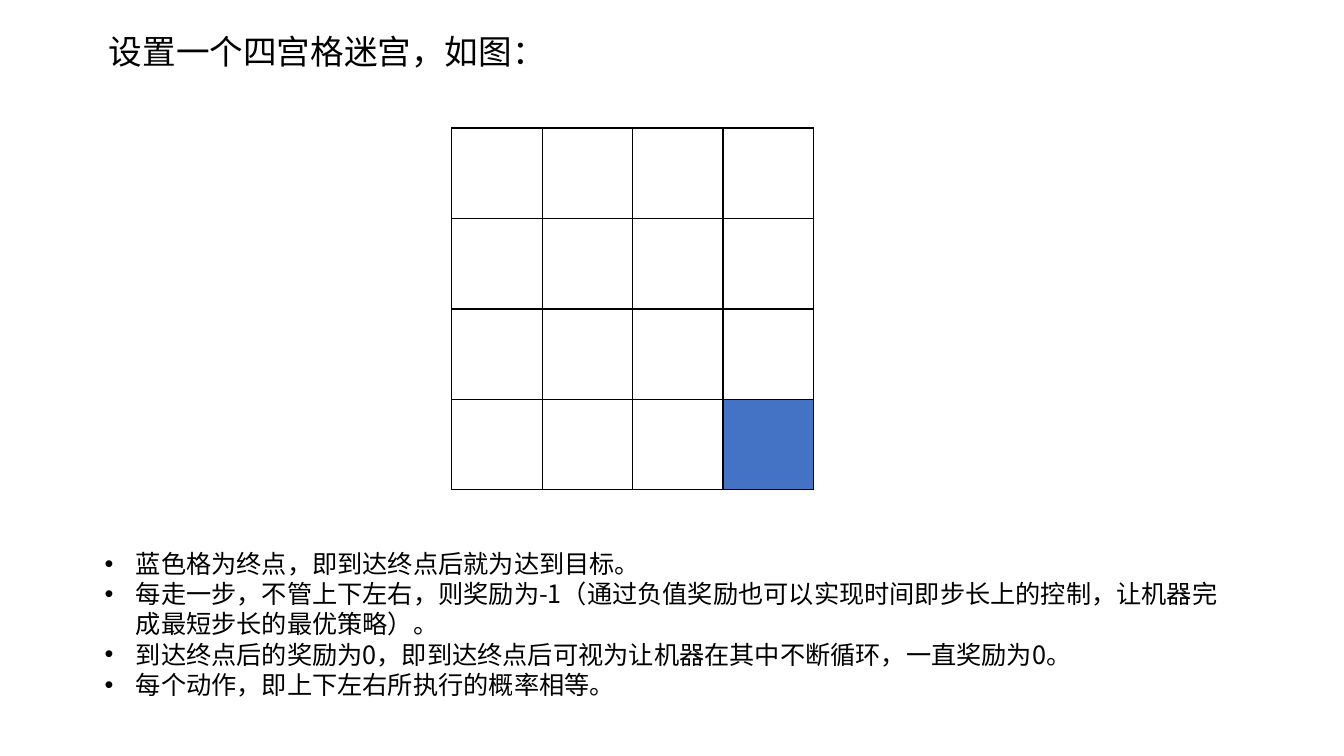
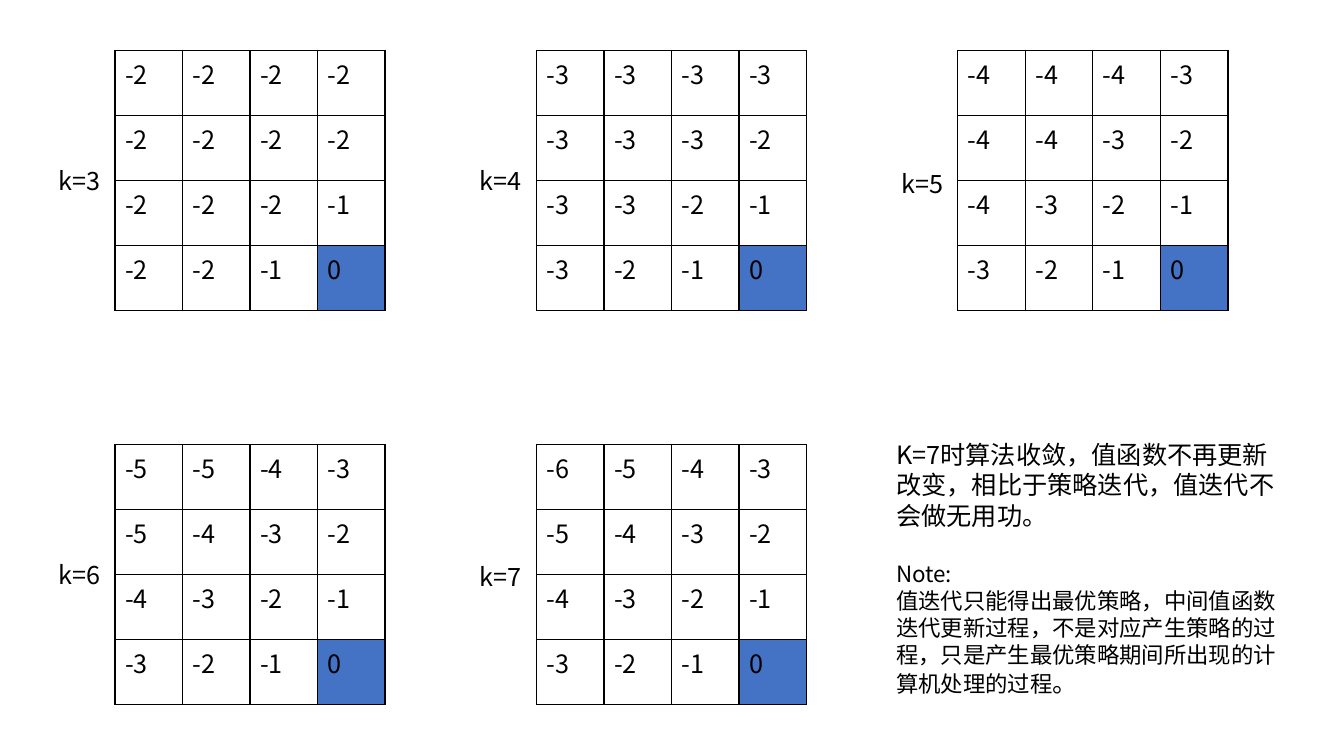
from dataclasses import dataclass

from lxml.etree import SubElement
from pptx import Presentation
from pptx.dml.color import RGBColor
from pptx.enum.text import MSO_ANCHOR, MSO_AUTO_SIZE, PP_ALIGN
from pptx.oxml.ns import qn
from pptx.presentation import Presentation as Deck
from pptx.slide import Slide
from pptx.text.text import Font, TextFrame
from pptx.util import Inches, Pt

FONT = "Noto Sans CJK SC"
BLACK, WHITE, BLUE = "000000", "FFFFFF", "4472C4"
TITLE_ONLY, BLANK = 5, 6
GRID_SIZE = 4
GRID_LEFT, GRID_TOP = 1.14, 0.5
GRID_STEP_X, GRID_STEP_Y = 4.18, 3.91
RULES = (
    "蓝色格为终点，即到达终点后就为达到目标。",
    "每走一步，不管上下左右，则奖励为-1（通过负值奖励也可以实现时间即步长上的控制，让机器完成最短步长的最优策略）。",
    "到达终点后的奖励为0，即到达终点后可视为让机器在其中不断循环，一直奖励为0。",
    "每个动作，即上下左右所执行的概率相等。",
)


@dataclass(frozen=True)
class Line:
    """A paragraph with its size, space before and optional larger ending."""

    text: str
    size: float = 18
    space_before: float = 0
    bullet: bool = False
    ending: str = ""


@dataclass(frozen=True)
class Iteration:
    """One value-iteration grid and the drop of its label below the grid top."""

    k: int
    column: int
    row: int
    label_drop: float = 1.09


ITERATIONS = (
    Iteration(3, 0, 0),
    Iteration(4, 1, 0),
    Iteration(5, 2, 0, 1.12),
    Iteration(6, 0, 1),
    Iteration(7, 1, 1, 1.11),
)


def color(value: str) -> RGBColor:
    """Turn a hex string into a colour."""
    return RGBColor.from_string(value)


def style_font(font: Font, size: float) -> None:
    """Apply the shared typeface and colour at the given size."""
    font.size = Pt(size)
    font.name = FONT
    font.color.rgb = color(BLACK)
    SubElement(font._rPr, qn("a:ea"), typeface=FONT)


def write_lines(frame: TextFrame, lines: list[Line]) -> None:
    """Fill a text frame with styled paragraphs."""
    for index, line in enumerate(lines):
        paragraph = frame.add_paragraph() if index else frame.paragraphs[0]
        paragraph.alignment = PP_ALIGN.LEFT
        paragraph.space_before = Pt(line.space_before)
        if line.bullet:
            properties = paragraph._p.get_or_add_pPr()
            properties.set("marL", str(Inches(0.31)))
            properties.set("indent", str(-Inches(0.31)))
            SubElement(properties, qn("a:buFont"), typeface="Arial")
            SubElement(properties, qn("a:buChar"), char="•")
        style_font(paragraph.font, line.size)
        paragraph.add_run().text = line.text
        if line.ending:
            run = paragraph.add_run()
            run.text = line.ending
            style_font(run.font, 18)


def add_text(slide: Slide, left: float, top: float, width: float, height: float, lines: list[Line]) -> None:
    """Add a wrapping text box."""
    box = slide.shapes.add_textbox(Inches(left), Inches(top), Inches(width), Inches(height))
    box.text_frame.word_wrap = True
    write_lines(box.text_frame, lines)


def add_maze(slide: Slide, left: float, top: float, width: float, height: float, limit: int = 0) -> None:
    """Add the maze, with values of minus the distance to the goal down to -limit."""
    frame = slide.shapes.add_table(
        GRID_SIZE, GRID_SIZE, Inches(left), Inches(top), Inches(width), Inches(height)
    )
    last = GRID_SIZE - 1
    for row in range(GRID_SIZE):
        for column in range(GRID_SIZE):
            cell = frame.table.cell(row, column)
            distance = 2 * last - row - column
            properties = cell._tc.get_or_add_tcPr()
            for side in ("lnL", "lnR", "lnT", "lnB"):
                border = SubElement(properties, qn(f"a:{side}"), w=str(Pt(1)))
                fill = SubElement(border, qn("a:solidFill"))
                SubElement(fill, qn("a:srgbClr"), val=BLACK)
            cell.fill.solid()
            cell.fill.fore_color.rgb = color(WHITE if distance else BLUE)
            if limit:
                write_lines(cell.text_frame, [Line(str(-min(distance, limit)))])


def build_maze_slide(presentation: Deck) -> None:
    """Build the slide that sets up the maze and its rules."""
    slide = presentation.slides.add_slide(presentation.slide_layouts[TITLE_ONLY])
    title = slide.shapes.title
    title.left, title.top = Inches(0.98), Inches(0.26)
    title.width, title.height = Inches(10.59), Inches(0.81)
    title.text_frame.vertical_anchor = MSO_ANCHOR.TOP
    title.text_frame.auto_size = MSO_AUTO_SIZE.NONE
    write_lines(title.text_frame, [Line("设置一个四宫格迷宫，如图：", 24)])
    add_text(slide, 0.94, 5.39, 11.46, 1.62, [Line(rule, bullet=True) for rule in RULES])
    add_maze(slide, 4.48, 1.27, 3.59, 3.59)


def build_iterations_slide(presentation: Deck) -> None:
    """Build the slide that follows the values until they converge."""
    slide = presentation.slides.add_slide(presentation.slide_layouts[BLANK])
    for iteration in ITERATIONS:
        left = GRID_LEFT + iteration.column * GRID_STEP_X
        top = GRID_TOP + iteration.row * GRID_STEP_Y
        add_text(slide, left - 0.66, top + iteration.label_drop, 1.32, 0.4, [Line(f"k={iteration.k}")])
        add_maze(slide, left, top, 2.68, 2.58, iteration.k - 1)
    conclusion = [
        Line("K=7时算法收敛，值函数不再更新改变，相比于策略迭代，值迭代不会做无用功。"),
        Line("Note:", 16, space_before=21.5),
        Line(
            "值迭代只能得出最优策略，中间值函数迭代更新过程，不是对应产生策略的过程，只是产生最优策略期间所出现的计算机处理的过程",
            16,
            ending="。",
        ),
    ]
    add_text(slide, 8.79, 4.31, 4.11, 2.69, conclusion)


def main() -> None:
    """Build and save the presentation."""
    presentation = Presentation()
    presentation.slide_width, presentation.slide_height = Inches(13.33), Inches(7.5)
    build_maze_slide(presentation)
    build_iterations_slide(presentation)
    presentation.save("out.pptx")


if __name__ == "__main__":
    main()
